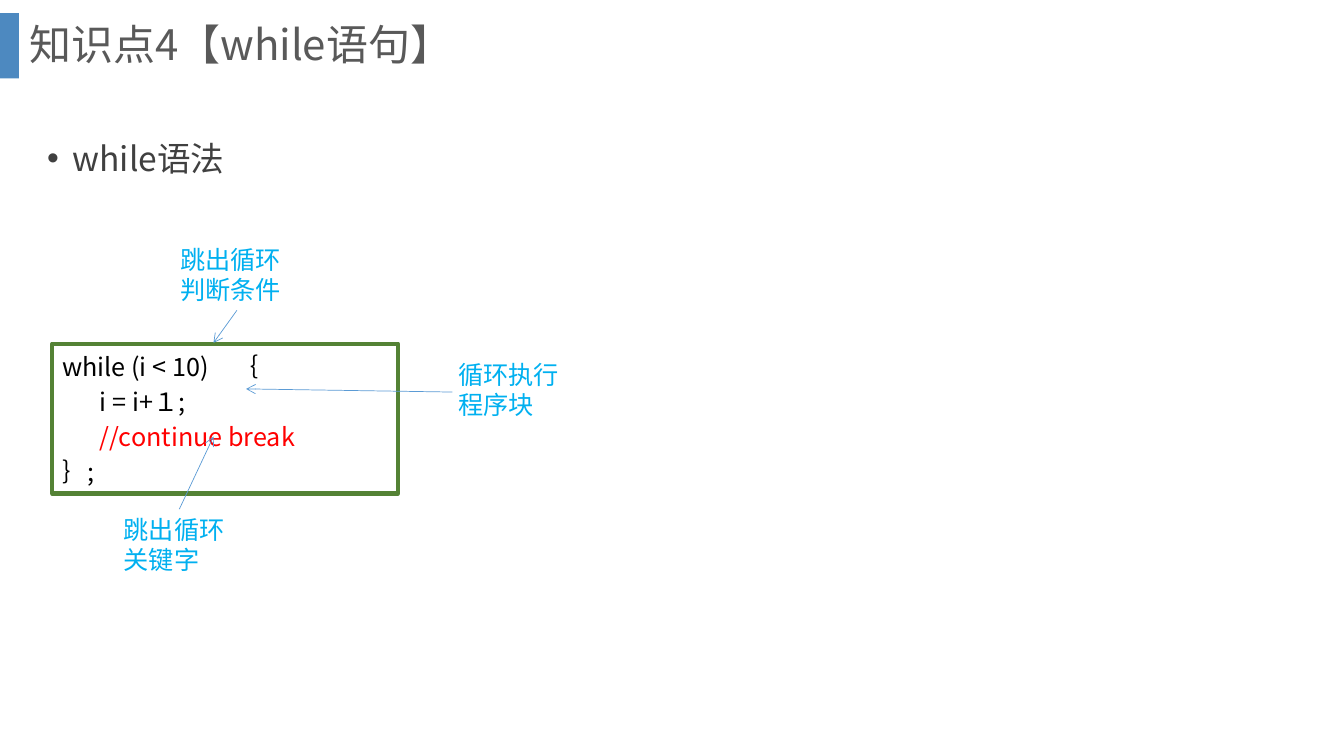
from dataclasses import dataclass

import lxml.etree
import pptx
import pptx.dml.color
import pptx.enum.shapes
import pptx.enum.text
import pptx.oxml
import pptx.oxml.ns
import pptx.util

Cm = pptx.util.Cm
Pt = pptx.util.Pt
qn = pptx.oxml.ns.qn


@dataclass(frozen=True)
class Theme:
    """Colours, fonts and type sizes of the slide."""
    bar: str = "2E75B6"
    title: str = "595959"
    body: str = "404040"
    code: str = "000000"
    keyword: str = "FF0000"
    frame: str = "548235"
    note: str = "00B0F0"
    arrow: str = "5B9BD5"
    font: str = "Noto Sans CJK SC"
    note_font: str = "Calibri"
    title_size: int = 30
    body_size: int = 24
    text_size: int = 18


THEME = Theme()


def rgb(value):
    """Return a colour object for a hex value."""
    return pptx.dml.color.RGBColor.from_string(value)


def format_paragraph(paragraph, size, colour, font=THEME.font):
    """Format every run of a paragraph, Chinese glyphs included."""
    for run in paragraph.runs:
        run.font.size = Pt(size)
        run.font.name = font
        run.font.color.rgb = rgb(colour)
        if font == THEME.font:
            latin = run.font._element.find(qn("a:latin"))
            east_asian = lxml.etree.Element(qn("a:ea"), typeface=font)
            latin.addnext(east_asian)


def set_indent(paragraph, left, first=0):
    """Set the left margin and first-line indent in centimetres."""
    properties = paragraph._p.get_or_add_pPr()
    properties.set("marL", str(int(Cm(left))))
    properties.set("indent", str(int(Cm(first))))
    return properties


def add_title(slide, box, text):
    """Place the title in its box, with the bar at the slide edge."""
    left, top, width, height = box
    bar = slide.shapes.add_shape(pptx.enum.shapes.MSO_SHAPE.RECTANGLE,
                                 0, Cm(top + 0.33), Cm(left), Cm(1.65))
    bar.shadow.inherit = False
    bar.fill.solid()
    bar.fill.fore_color.rgb = rgb(THEME.bar)
    colour = bar._element.spPr.find(qn("a:solidFill"))[0]
    lxml.etree.SubElement(colour, qn("a:alpha"), val="85000")
    bar.line.fill.background()

    title = slide.shapes.title
    title.left, title.top, title.width, title.height = map(Cm, box)
    frame = title.text_frame
    frame.text = text
    frame.auto_size = pptx.enum.text.MSO_AUTO_SIZE.NONE
    frame.vertical_anchor = pptx.enum.text.MSO_ANCHOR.MIDDLE
    paragraph = frame.paragraphs[0]
    paragraph.alignment = pptx.enum.text.PP_ALIGN.LEFT
    paragraph.line_spacing = 0.9
    format_paragraph(paragraph, THEME.title_size, THEME.title)


def add_body(slide, box, text):
    """Place the bulleted body text in its box."""
    frame = slide.shapes.add_textbox(*map(Cm, box)).text_frame
    frame.word_wrap = True
    frame.text = text
    paragraph = frame.paragraphs[0]
    paragraph.line_spacing = 1.3
    properties = set_indent(paragraph, 0.64, -0.64)
    lxml.etree.SubElement(properties, qn("a:buFont"), typeface="Arial")
    lxml.etree.SubElement(properties, qn("a:buChar"), char="•")
    format_paragraph(paragraph, THEME.body_size, THEME.body)


def add_code(slide, box, lines):
    """Place framed code; each line has a text, an indent and a colour."""
    shape = slide.shapes.add_shape(pptx.enum.shapes.MSO_SHAPE.RECTANGLE, *map(Cm, box))
    shape.shadow.inherit = False
    shape.fill.background()
    shape.line.color.rgb = rgb(THEME.frame)
    shape.line.width = Pt(3)
    frame = shape.text_frame
    frame.word_wrap = True
    frame.vertical_anchor = pptx.enum.text.MSO_ANCHOR.TOP
    frame.margin_top = Cm(0.2)
    frame.text = "\n".join(text for text, indent, colour in lines)
    for index, (text, indent, colour) in enumerate(lines):
        paragraph = frame.paragraphs[index]
        paragraph.alignment = pptx.enum.text.PP_ALIGN.LEFT
        paragraph.line_spacing = Pt(21.4)
        if index:
            paragraph.space_before = Pt(3.6)
        set_indent(paragraph, indent)
        format_paragraph(paragraph, THEME.text_size, colour)


def add_note(slide, box, text, start, end):
    """Place a note and its arrow, both ends relative to the note's corner."""
    left, top, width, height = box
    frame = slide.shapes.add_textbox(*map(Cm, box)).text_frame
    frame.word_wrap = True
    frame.text = text
    format_paragraph(frame.paragraphs[0], THEME.text_size, THEME.note, THEME.note_font)

    arrow = slide.shapes.add_connector(
        pptx.enum.shapes.MSO_CONNECTOR.STRAIGHT,
        Cm(left + start[0]), Cm(top + start[1]), Cm(left + end[0]), Cm(top + end[1]))
    arrow.line.color.rgb = rgb(THEME.arrow)
    arrow.line.width = Pt(0.5)
    lxml.etree.SubElement(arrow.line._get_or_add_ln(), qn("a:tailEnd"), type="arrow")
    lxml.etree.SubElement(arrow._element.spPr, qn("a:effectLst"))


def build_while_slide(presentation):
    """Build the slide on the while statement."""
    slide = presentation.slides.add_slide(presentation.slide_layouts[5])
    add_title(slide, (0.48, 0, 32.16, 2.36), "知识点4【while语句】")
    add_body(slide, (0.94, 3.05, 30.61, 13.87), "while语法")
    add_code(slide, (1.32, 8.66, 8.71, 3.78), [
        ("while (i < 10)\u3000｛".replace("\u3000", "　"), 0, THEME.code),
        ("i = i+１;", 0.95, THEME.code),
        ("//continue break", 0.95, THEME.keyword),
        ("｝;", 0, THEME.code),
    ])
    notes = [
        ((4.29, 6.02), "跳出循环判断条件", (1.68, 1.8), (1.09, 2.62)),
        ((11.3, 8.92), "循环执行程序块", (0.1, 0.96), (-5.1, 0.88)),
        ((2.87, 12.83), "跳出循环关键字", (1.65, 0), (2.51, -1.83)),
    ]
    for corner, text, start, end in notes:
        add_note(slide, (*corner, 3.33, 1.8), text, start, end)


def main():
    """Create and save the presentation."""
    presentation = pptx.Presentation()
    presentation.slide_width = Cm(33.87)
    presentation.slide_height = Cm(19.05)
    build_while_slide(presentation)
    presentation.save("out.pptx")


if __name__ == "__main__":
    main()
